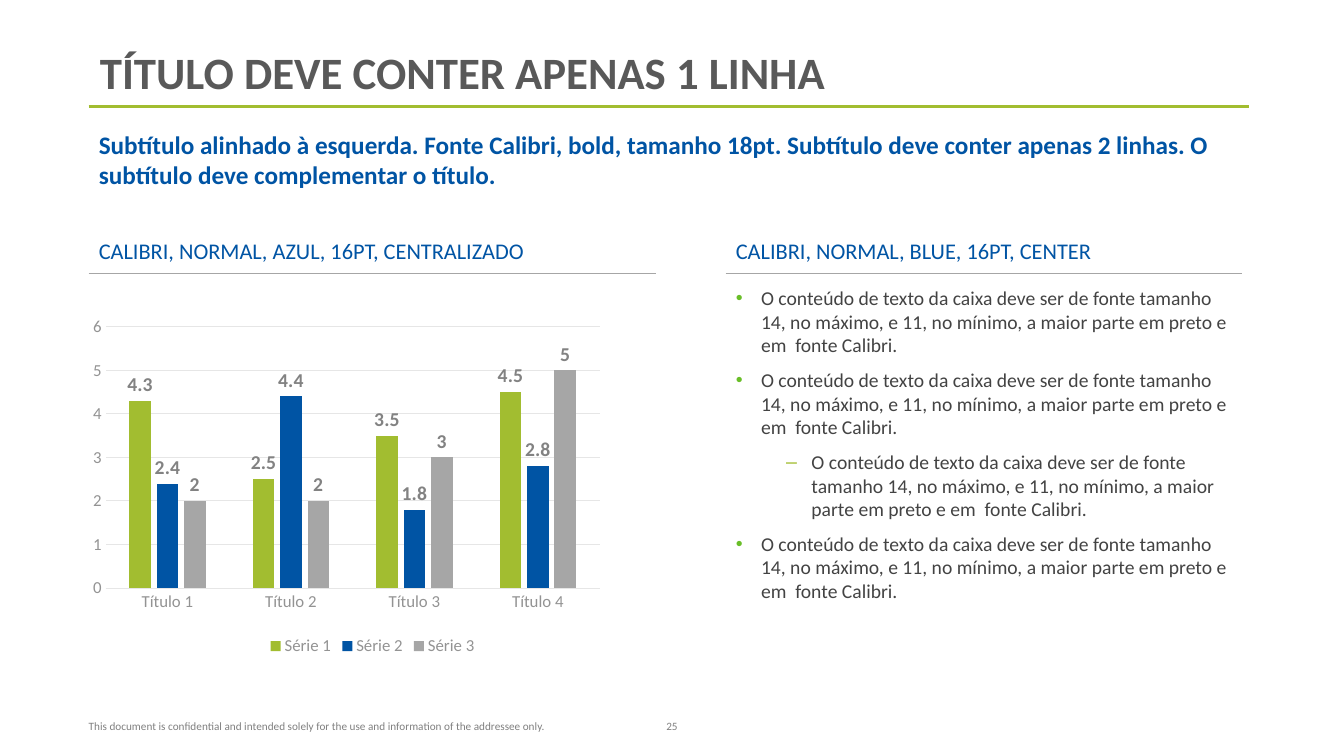
from dataclasses import dataclass

from lxml.etree import SubElement, fromstring
from pptx import Presentation
from pptx.chart.data import CategoryChartData
from pptx.dml.color import RGBColor
from pptx.enum.chart import XL_CHART_TYPE as ChartType
from pptx.enum.chart import XL_LABEL_POSITION as LabelPosition
from pptx.enum.chart import XL_LEGEND_POSITION as LegendPosition
from pptx.enum.chart import XL_TICK_MARK as TickMark
from pptx.enum.shapes import MSO_CONNECTOR as Connector
from pptx.enum.text import MSO_ANCHOR as Anchor
from pptx.enum.text import MSO_AUTO_SIZE as AutoSize
from pptx.enum.text import PP_ALIGN as Align
from pptx.oxml.ns import nsdecls, qn
from pptx.util import Inches, Pt


@dataclass(frozen=True)
class Theme:
    face: str = "Calibri"
    green: str = "A2BD30"
    bullet: str = "69BE28"
    blue: str = "0054A4"
    silver: str = "A6A6A6"
    title: str = "595959"
    body: str = "434343"
    footer: str = "808080"
    axis: str = "939393"
    label: str = "828282"
    grid: str = "E6E6E6"
    title_size: int = 32
    subtitle_size: int = 18
    heading_size: int = 16
    body_size: int = 14
    axis_size: int = 12
    footer_size: int = 8


class SlideBuilder:
    def __init__(self, deck, layout, theme):
        self.theme = theme
        self.width, self.height = deck.slide_width, deck.slide_height
        self.slide = deck.slides.add_slide(layout)

    def box(self, x, y, w, h):
        return (int(self.width * x / 100), int(self.height * y / 100),
                int(self.width * w / 100), int(self.height * h / 100))

    def style(self, font, size, color, bold=False):
        font.name, font.size, font.bold = self.theme.face, Pt(size), bold
        font.color.rgb = RGBColor.from_string(color)

    def stroke(self, line, color, weight):
        line.color.rgb = RGBColor.from_string(color)
        line.width = Pt(weight)

    def rule(self, x, y, w, color, weight):
        left, top, width, _ = self.box(x, y, w, 0)
        line = self.slide.shapes.add_connector(
            Connector.STRAIGHT, left, top, left + width, top)
        self.stroke(line.line, color, weight)
        SubElement(line._element.spPr, qn("a:effectLst"))

    def paragraph(self, paragraph, text, size, color, bold=False, align=Align.LEFT,
                  gap=0, spacing=1.0, bullet=None, indent=0, bullet_color=None):
        paragraph.text = text
        paragraph.alignment = align
        paragraph.line_spacing = spacing
        paragraph.space_before = paragraph.space_after = Pt(gap)
        props = paragraph._p.get_or_add_pPr()
        props.set("marL", str(Inches(indent)))
        props.set("indent", str(Inches(-0.25 if bullet else 0)))
        if bullet:
            tint = SubElement(props, qn("a:buClr"))
            SubElement(tint, qn("a:srgbClr")).set("val", bullet_color)
            SubElement(props, qn("a:buFont")).set("typeface", "Arial")
            SubElement(props, qn("a:buChar")).set("char", bullet)
        else:
            SubElement(props, qn("a:buNone"))
        self.style(paragraph.font, size, color, bold)

    def placeholder(self, index, bounds, anchor=Anchor.TOP, inset=0.05):
        holder = self.slide.placeholders[index]
        holder.left, holder.top, holder.width, holder.height = self.box(*bounds)
        frame = holder.text_frame
        frame.auto_size, frame.word_wrap = AutoSize.NONE, True
        frame.vertical_anchor = anchor
        frame.margin_top = frame.margin_bottom = Inches(inset)
        return frame

    def text(self, index, bounds, text, size, color, anchor=Anchor.TOP, inset=0.05, **look):
        frame = self.placeholder(index, bounds, anchor, inset)
        self.paragraph(frame.paragraphs[0], text, size, color, **look)

    def bullets(self, index, bounds, text, levels):
        theme = self.theme
        marks = (("•", theme.bullet, 0.25), ("‒", theme.green, 0.75))
        frame = self.placeholder(index, bounds)
        for position, level in enumerate(levels):
            item = frame.add_paragraph() if position else frame.paragraphs[0]
            item.level = level
            mark, tint, indent = marks[level]
            self.paragraph(item, text, theme.body_size, theme.body, gap=4,
                           bullet=mark, bullet_color=tint, indent=indent)

    def footer(self, bounds, text, align, side):
        frame = self.slide.shapes.add_textbox(*self.box(*bounds)).text_frame
        frame.word_wrap = True
        frame.margin_left = frame.margin_right = Inches(side)
        self.paragraph(frame.paragraphs[0], text, self.theme.footer_size,
                       self.theme.footer, align=align, gap=3)

    def columns(self, bounds, categories, series, plot):
        theme = self.theme
        data = CategoryChartData()
        data.categories = categories
        for name, _, values in series:
            data.add_series(name, values)
        chart = self.slide.shapes.add_chart(
            ChartType.COLUMN_CLUSTERED, *self.box(*bounds), data).chart
        chart.has_title = False
        self.style(chart.font, theme.axis_size, theme.axis)
        chart.has_legend = True
        chart.legend.position = LegendPosition.BOTTOM
        chart.legend.include_in_layout = False
        self.style(chart.legend.font, theme.axis_size, theme.axis)
        for axis in (chart.category_axis, chart.value_axis):
            axis.major_tick_mark = axis.minor_tick_mark = TickMark.NONE
            self.style(axis.tick_labels.font, theme.axis_size, theme.axis)
        self.stroke(chart.category_axis.format.line, theme.grid, 0.75)
        scale = chart.value_axis
        scale.minimum_scale, scale.maximum_scale, scale.major_unit = 0, 6, 1
        scale.format.line.fill.background()
        self.stroke(scale.major_gridlines.format.line, theme.grid, 0.75)
        bars = chart.plots[0]
        bars.gap_width, bars.overlap, bars.vary_by_categories = 219, -27, False
        for drawn, (_, color, _) in zip(bars.series, series):
            drawn.format.fill.solid()
            drawn.format.fill.fore_color.rgb = RGBColor.from_string(color)
            labels = drawn.data_labels
            labels.show_value, labels.position = True, LabelPosition.OUTSIDE_END
            self.style(labels.font, theme.body_size, theme.label, True)
        area = chart._chartSpace.chart.plotArea
        for automatic in area.findall(qn("c:layout")):
            area.remove(automatic)
        settings = [("layoutTarget", "inner"), ("xMode", "edge"), ("yMode", "edge")]
        settings += zip("xywh", plot)
        tags = "".join(f'<c:{tag} val="{value}"/>' for tag, value in settings)
        area.insert(0, fromstring(
            f'<c:layout {nsdecls("c")}><c:manualLayout>{tags}</c:manualLayout></c:layout>'))


def main():
    theme = Theme()
    deck = Presentation()
    deck.slide_width, deck.slide_height = Inches(13.33), Inches(7.5)
    page = SlideBuilder(deck, deck.slide_layouts.get_by_name("Comparison"), theme)
    left, full = 6.6, 85.67
    chart_column, text_column = (left, 42.24), (54, 38.41)

    page.rule(left, 14.13, 86.35, theme.green, 2.25)
    page.text(0, (left + 0.08, 3.87, full, 9.87), "TÍTULO DEVE CONTER APENAS 1 LINHA",
              theme.title_size, theme.title, Anchor.BOTTOM, bold=True, spacing=0.9)
    page.text(2, (left, 16.4, full, 10.53),
              "Subtítulo alinhado à esquerda. Fonte Calibri, bold, tamanho 18pt. "
              "Subtítulo deve conter apenas 2 linhas. O subtítulo deve complementar o título.",
              theme.subtitle_size, theme.blue, bold=True)
    headings = (
        (1, chart_column, "CALIBRI, NORMAL, AZUL, 16PT, CENTRALIZADO"),
        (3, text_column, "CALIBRI, NORMAL, BLUE, 16PT, CENTER"),
    )
    for index, (x, width), heading in headings:
        page.rule(x, 36.13, width, theme.silver, 0.5)
        page.text(index, (x, 28.67, width, 6.8), heading, theme.heading_size,
                  theme.blue, Anchor.BOTTOM, 0.04, gap=3)
    page.columns((left, 37.2, chart_column[1], 50.13),
                 [f"Título {number}" for number in range(1, 5)],
                 (("Série 1", theme.green, (4.3, 2.5, 3.5, 4.5)),
                  ("Série 2", theme.blue, (2.4, 4.4, 1.8, 2.8)),
                  ("Série 3", theme.silver, (2, 2, 3, 5))),
                 (0.03, 0.12, 0.87, 0.69))
    page.bullets(4, (text_column[0], 37.2, text_column[1], 50.53),
                 "O conteúdo de texto da caixa deve ser de fonte tamanho 14, no máximo, "
                 "e 11, no mínimo, a maior parte em preto e em  fonte Calibri.",
                 (0, 0, 1, 0))
    page.footer((left, 94.53, 36.83, 3.47),
                "This document is confidential and intended solely for the use and "
                "information of the addressee only.", Align.LEFT, 0)
    page.footer((48.39, 94.53, 3.23, 3.47), "25", Align.CENTER, 0.1)
    deck.save("out.pptx")


if __name__ == "__main__":
    main()
